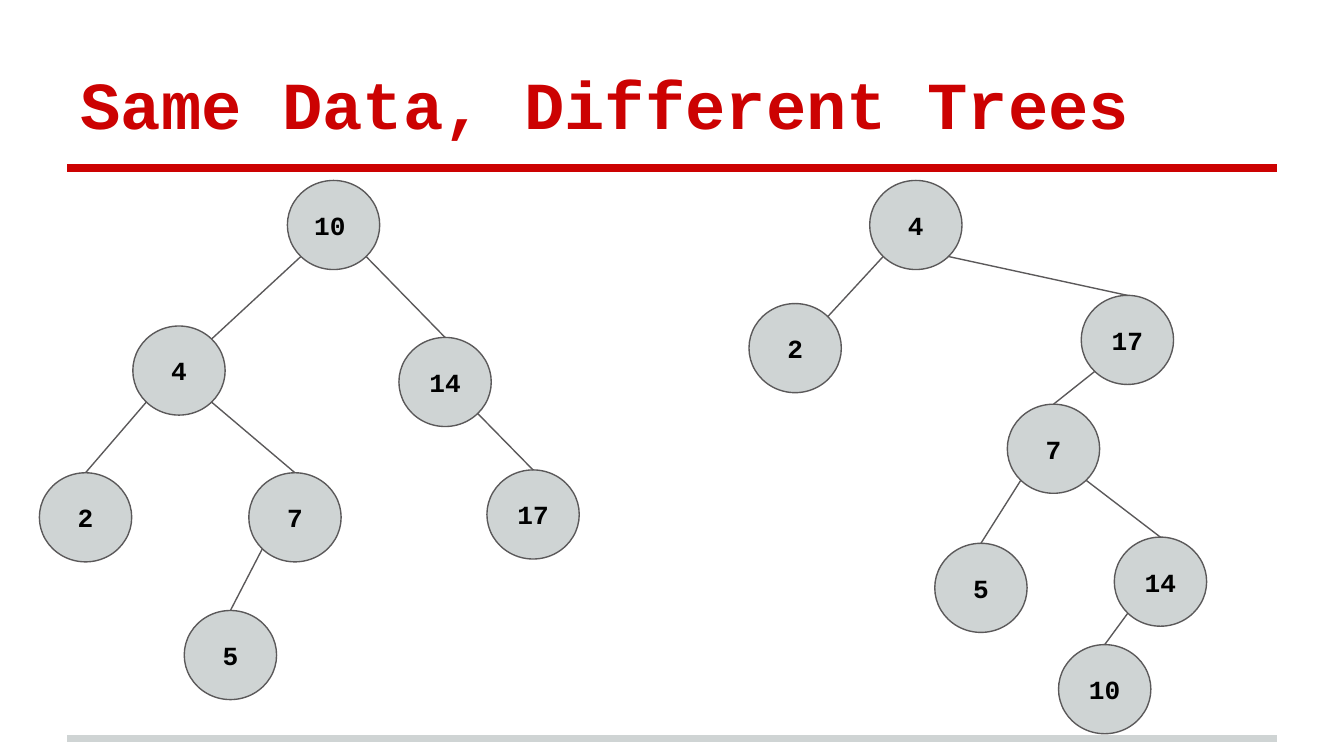
import math

import pptx
import pptx.dml.color
import pptx.enum.shapes
import pptx.enum.text
import pptx.oxml
import pptx.util

UNIT = 0.1
NODE_W, NODE_H = 6.87, 6.63
RED, GREY, DARK, BLACK = "CC0202", "CFD4D4", "5B595A", "000000"
ALIGN = pptx.enum.text.PP_ALIGN
ANCHOR = pptx.enum.text.MSO_ANCHOR
MARGINS = {f"margin_{side}": pptx.util.Inches(0.1) for side in ("left", "right", "top", "bottom")}
FONT = {"name": "Courier New", "bold": True}

LEFT_TREE = {
    "box": (2.93, 13.43),
    "nodes": {
        "10": (18.45, 0), "4": (6.95, 10.83), "14": (26.75, 11.68), "7": (15.58, 21.75),
        "2": (0, 21.75), "5": (10.78, 32), "17": (33.3, 21.54),
    },
    "edges": [("10", "4"), ("4", "2"), ("4", "7"), ("7", "5"), ("10", "14"), ("14", "17")],
    "corner_edge": ("10", "4"),
    "left_aligned": "10",
}
RIGHT_TREE = {
    "box": (55.73, 13.43),
    "nodes": {
        "4": (8.98, 0), "2": (0, 9.16), "17": (24.72, 8.55), "7": (19.22, 16.65),
        "10": (23.03, 34.54), "5": (13.82, 27), "14": (27.18, 26.54),
    },
    "edges": [("4", "2"), ("7", "5"), ("4", "17"), ("17", "7"), ("7", "14"), ("14", "10")],
    "corner_edge": ("4", "2"),
    "left_aligned": None,
}


def rgb(value):
    return pptx.dml.color.RGBColor.from_string(value)


def grid(value):
    return pptx.util.Inches(value * UNIT)


def apply(target, values):
    for name, value in values.items():
        setattr(target, name, value)


def write(sp, text, size, color, align, anchor):
    tf = sp.text_frame
    apply(tf, {**MARGINS, "word_wrap": True, "vertical_anchor": anchor,
               "auto_size": pptx.enum.text.MSO_AUTO_SIZE.NONE})
    p = tf.paragraphs[0]
    p.alignment = align
    r = p.add_run()
    r.text = text
    apply(r.font, {**FONT, "size": pptx.util.Pt(size)})
    r.font.color.rgb = rgb(color)


def add_line(s, start, end, color, width):
    points = [grid(value) for value in (*start, *end)]
    line = s.shapes.add_connector(pptx.enum.shapes.MSO_CONNECTOR.STRAIGHT, *points)
    line.line.color.rgb = rgb(color)
    line.line.width = pptx.util.Pt(width)
    line._element.spPr.append(pptx.oxml.parse_xml(
        '<a:effectLst xmlns:a="http://schemas.openxmlformats.org/drawingml/2006/main"/>'))
    return line


def add_frame(s, box, rules):
    left, top, width, height = box
    for y, color in rules:
        add_line(s, (left, y), (left + width, y), color, 4)
    title = s.shapes.title
    apply(title, {"left": grid(left), "top": grid(top),
                  "width": grid(width), "height": grid(height)})
    write(title, "Same Data, Different Trees", 36, RED, ALIGN.LEFT, ANCHOR.BOTTOM)


def add_node(s, x, y, text, align):
    sp = s.shapes.add_shape(pptx.enum.shapes.MSO_SHAPE.OVAL,
                            *map(grid, (x, y, NODE_W, NODE_H)))
    sp.shadow.inherit = False
    sp.fill.solid()
    sp.fill.fore_color.rgb = rgb(GREY)
    sp.line.color.rgb = rgb(DARK)
    sp.line.width = pptx.util.Pt(0.75)
    write(sp, text, 14, BLACK, align, ANCHOR.MIDDLE)
    return sp


def rim(place, dx, dy):
    x, y = place
    return x + NODE_W / 2 * (1 + dx), y + NODE_H / 2 * (1 + dy)


def add_tree(s, box, nodes, edges, corner_edge, left_aligned):
    left, top = box
    places = {key: (left + x, top + y) for key, (x, y) in nodes.items()}
    ovals = {key: add_node(s, *place, key, ALIGN.LEFT if key == left_aligned else ALIGN.CENTER)
             for key, place in places.items()}
    diagonal = math.sqrt(0.5)
    for parent, child in edges:
        side = diagonal if places[child][0] > places[parent][0] else -diagonal
        start = rim(places[parent], side, diagonal)
        at_corner = (parent, child) == corner_edge
        end = rim(places[child], diagonal, -diagonal) if at_corner else rim(places[child], 0, -1)
        line = add_line(s, start, end, DARK, 0.75)
        if not at_corner:
            line.end_connect(ovals[child], 0)


def main():
    prs = pptx.Presentation()
    apply(prs, {"slide_width": grid(100), "slide_height": grid(56.25)})
    s = prs.slides.add_slide(prs.slide_layouts[5])
    add_frame(s, (5, 2.25, 90, 9.38), [(54.94, GREY), (12.5, RED)])
    for tree in (LEFT_TREE, RIGHT_TREE):
        add_tree(s, **tree)
    prs.save("out.pptx")


if __name__ == "__main__":
    main()
